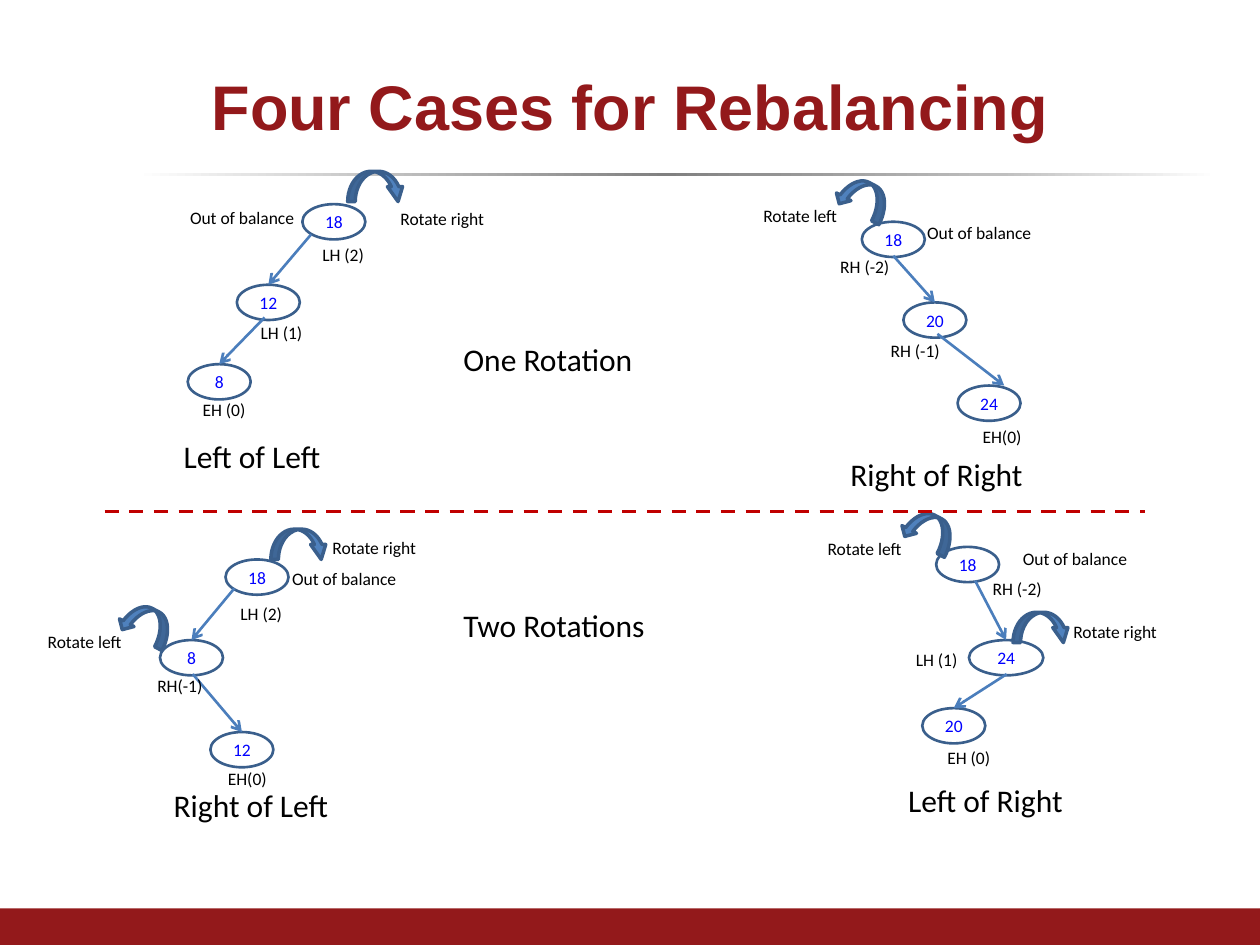
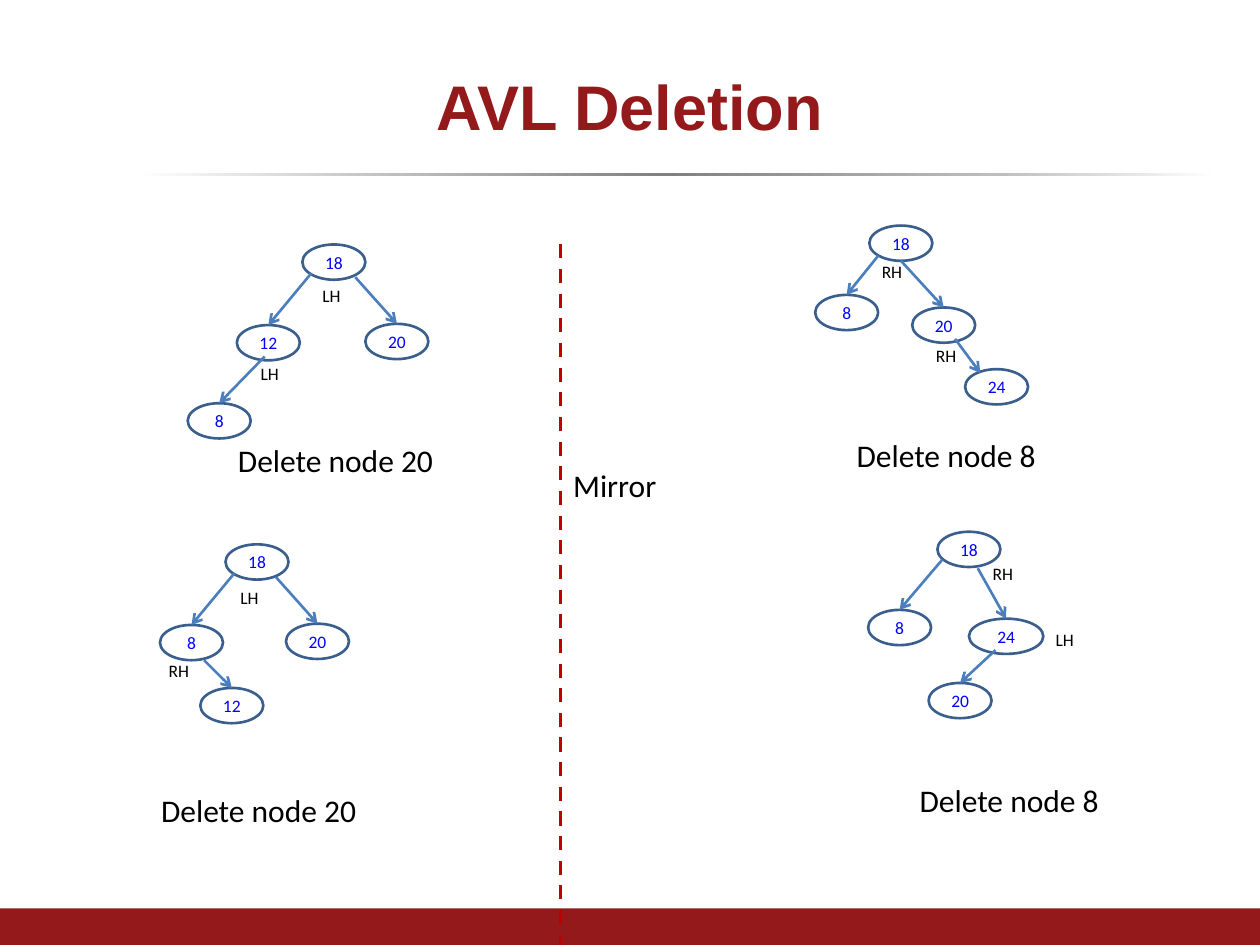
from copy import deepcopy
from dataclasses import dataclass, field

from lxml.etree import SubElement
from pptx import Presentation
from pptx.dml.color import RGBColor
from pptx.enum.dml import MSO_LINE
from pptx.enum.shapes import MSO_CONNECTOR, MSO_SHAPE as SHAPE
from pptx.enum.text import MSO_ANCHOR as ANCHOR, PP_ALIGN as ALIGN
from pptx.oxml.ns import qn
from pptx.util import Inches, Pt

# Shared style
MAROON, BLACK, KEY_BLUE = "93191B", "000000", "0000FF"
OUTLINE, EDGE, TURN_FILL, DIVIDER = "3A5F8C", "4B7EBC", "4F81BD", "C00000"
RULE_STOPS = [(0, "FFFFFF"), (24, "BFBFBF"), (49, "808080"),
              (80, "BFBFBF"), (100, "FFFFFF")]
NODE_WIDTH, NODE_HEIGHT = 0.5, 0.28
NOTE_SIZE, CAPTION_SIZE, TITLE_SIZE = 10, 18, 36
NOTE_HEIGHT, CAPTION_HEIGHT = 0.27, 0.4


# All offsets inside a tree are measured from the top left of its root node.
@dataclass
class Node:
    key: str
    at: tuple
    edge_from: tuple
    width: float = NODE_WIDTH
    edge_to: tuple = None


@dataclass
class Turn:
    side: str
    arrow_at: tuple
    text_at: tuple


@dataclass
class Tree:
    root: tuple
    nodes: list
    balances: list
    caption: tuple
    caption_width: float = 1.72
    turns: list = field(default_factory=list)
    warning_at: tuple = None


REBALANCING = [
    Tree((2.4, 1.62),
         [Node("12", (-0.52, 0.64), (0.07, 0.24)),
          Node("8", (-0.91, 1.27), (-0.3, 0.9))],
         [("LH (2)", 0.06, 0.27), ("LH (1)", -0.43, 0.89), ("EH (0)", -0.89, 1.5)],
         ("Left of Left", -1.04, 1.8),
         turns=[Turn("right", (0.36, -0.26), (0.68, -0.02))],
         warning_at=(-0.99, -0.03)),
    Tree((6.84, 1.76),
         [Node("20", (0.33, 0.64), (0.25, 0.27)),
          Node("24", (0.76, 1.3), (0.6, 0.89), edge_to=(1.13, 1.3))],
         [("RH (-2)", -0.27, 0.22), ("RH (-1)", 0.13, 0.89), ("EH(0)", 0.86, 1.57)],
         ("Right of Right", -0.19, 1.8),
         turns=[Turn("left", (-0.2, -0.32), (-0.88, -0.18))],
         warning_at=(0.42, -0.05)),
    Tree((1.79, 4.44),
         [Node("8", (-0.52, 0.64), (0.07, 0.23)),
          Node("12", (-0.12, 1.37), (-0.26, 0.91))],
         [("LH (2)", 0.02, 0.3), ("RH(-1)", -0.64, 0.87), ("EH(0)", -0.08, 1.61)],
         ("Right of Left", -0.51, 1.75),
         turns=[Turn("right", (0.36, -0.24), (0.75, -0.23)),
                Turn("left", (-0.84, 0.38), (-1.51, 0.52))],
         warning_at=(0.43, 0.02)),
    Tree((7.43, 4.34),
         [Node("24", (0.26, 0.74), (0.31, 0.27), 0.59),
          Node("20", (-0.11, 1.28), (0.56, 1.01))],
         [("RH (-2)", 0.35, 0.2), ("LH (1)", -0.26, 0.76), ("EH (0)", -0.01, 1.54)],
         ("Left of Right", -0.32, 1.81),
         turns=[Turn("left", (-0.27, -0.26), (-0.96, -0.12)),
                Turn("right", (0.61, 0.52), (0.99, 0.54))],
         warning_at=(0.59, -0.04)),
]

DELETION = [
    Tree((2.4, 1.94),
         [Node("12", (-0.52, 0.64), (0.07, 0.23)),
          Node("8", (-0.91, 1.26), (-0.3, 0.89)),
          Node("20", (0.5, 0.63), (0.42, 0.26))],
         [("LH", 0.06, 0.27), ("LH", -0.43, 0.89)],
         ("Delete node 20", -0.61, 1.51), 2.38),
    Tree((6.9, 1.79),
         [Node("20", (0.34, 0.65), (0.25, 0.28)),
          Node("24", (0.76, 1.14), (0.68, 0.9), edge_to=(0.88, 1.17)),
          Node("8", (-0.43, 0.55), (0.07, 0.24))],
         [("RH", 0, 0.23), ("RH", 0.43, 0.9)],
         ("Delete node 8", -0.2, 1.62)),
    Tree((1.79, 4.32),
         [Node("8", (-0.52, 0.64), (0.07, 0.23)),
          Node("12", (-0.2, 1.14), (-0.17, 0.92)),
          Node("20", (0.48, 0.63), (0.4, 0.26))],
         [("LH", 0.02, 0.29), ("RH", -0.55, 0.87)],
         ("Delete node 20", -0.61, 1.91), 2.55),
    Tree((7.44, 4.22),
         [Node("24", (0.25, 0.69), (0.32, 0.29), 0.59),
          Node("20", (-0.07, 1.2), (0.46, 0.94)),
          Node("8", (-0.55, 0.62), (0.04, 0.22))],
         [("RH", 0.34, 0.2), ("LH", 0.84, 0.72)],
         ("Delete node 8", -0.24, 1.93)),
]


def color(value):
    return RGBColor.from_string(value)


def write(shape, text, size, ink, font="Calibri", bold=False, align=ALIGN.LEFT,
          anchor=ANCHOR.TOP):
    frame = shape.text_frame
    frame.word_wrap = True
    frame.vertical_anchor = anchor
    para = frame.paragraphs[0]
    para.alignment = align
    span = para.add_run()
    span.text = text
    span.font.name, span.font.size, span.font.bold = font, Pt(size), bold
    span.font.color.rgb = color(ink)


def add_text(page, text, left, top, width, height, size, ink=BLACK, **style):
    box = page.shapes.add_textbox(*map(Inches, (left, top, width, height)))
    write(box, text, size, ink, **style)


def add_caption(page, text, left, top, width):
    add_text(page, text, left, top, width, CAPTION_HEIGHT, CAPTION_SIZE)


def add_note(page, text, left, top, width):
    add_text(page, text, left, top, width, NOTE_HEIGHT, NOTE_SIZE)


def add_block(page, preset, left, top, width, height, fill=None, line=None, weight=1.5):
    block = page.shapes.add_shape(preset, *map(Inches, (left, top, width, height)))
    block.shadow.inherit = False
    if fill:
        block.fill.solid()
        block.fill.fore_color.rgb = color(fill)
    else:
        block.fill.background()
    if line:
        block.line.color.rgb = color(line)
        block.line.width = Pt(weight)
    else:
        block.line.fill.background()
    return block


def add_line(page, start, end, ink, weight, dashed=False, arrow=False):
    line = page.shapes.add_connector(MSO_CONNECTOR.STRAIGHT,
                                     *map(Inches, (*start, *end)))
    line.line.color.rgb = color(ink)
    line.line.width = Pt(weight)
    if dashed:
        line.line.dash_style = MSO_LINE.DASH
    properties = line._element.spPr
    if arrow:
        SubElement(properties.find(qn("a:ln")), qn("a:tailEnd"), type="arrow")
    SubElement(properties, qn("a:effectLst"))


def add_title_rule(page):
    rule = add_block(page, SHAPE.RECTANGLE, 1.08, 1.37, 8.58, 0.03)
    rule.fill.gradient()
    rule.fill.gradient_angle = 0
    # Extend the gradient to five stops
    stops = rule._element.spPr.find(qn("a:gradFill")).find(qn("a:gsLst"))
    for _ in range(len(RULE_STOPS) - len(stops)):
        stops.append(deepcopy(stops[0]))
    for stop, (place, shade) in zip(rule.fill.gradient_stops, RULE_STOPS):
        stop.position = place / 100
        stop.color.rgb = color(shade)


def add_page(deck, title):
    page = deck.slides.add_slide(deck.slide_layouts[6])
    add_title_rule(page)
    add_block(page, SHAPE.RECTANGLE, 0, 7.21, 10, 0.29, MAROON)
    add_text(page, title, 0.5, 0.3, 9, 1.07, TITLE_SIZE, MAROON, font="Arial",
             bold=True, align=ALIGN.CENTER, anchor=ANCHOR.MIDDLE)
    return page


def draw_node(page, key, left, top, width=NODE_WIDTH):
    node = add_block(page, SHAPE.OVAL, left, top, width, NODE_HEIGHT, line=OUTLINE)
    frame = node.text_frame
    frame.margin_left = frame.margin_right = frame.margin_top = frame.margin_bottom = 0
    write(node, key, NOTE_SIZE, KEY_BLUE, align=ALIGN.CENTER, anchor=ANCHOR.MIDDLE)


def draw_turn(page, side, arrow_at, text_at):
    if side == "right":
        arrow = add_block(page, SHAPE.CURVED_DOWN_ARROW, *arrow_at, 0.46, 0.24,
                          TURN_FILL, OUTLINE, 2)
        arrow.adjustments[2] = 0.493
    else:
        arrow = add_block(page, SHAPE.CURVED_UP_ARROW, *arrow_at, 0.42, 0.26,
                          TURN_FILL, OUTLINE, 2)
        arrow.rotation = 207.9
    add_note(page, f"Rotate {side}", *text_at, 1.55)


def draw_tree(page, tree):
    def place(offset):
        return tree.root[0] + offset[0], tree.root[1] + offset[1]

    # Nodes, each with the edge from its parent
    draw_node(page, "18", *tree.root)
    for node in tree.nodes:
        draw_node(page, node.key, *place(node.at), node.width)
        top_center = (node.at[0] + node.width / 2, node.at[1])
        add_line(page, place(node.edge_from), place(node.edge_to or top_center),
                 EDGE, 1.5, arrow=True)
    # Balance labels and caption
    for text, *offset in tree.balances:
        add_note(page, text, *place(offset), 0.68 if "(" in text else 0.5)
    text, *offset = tree.caption
    add_caption(page, text, *place(offset), tree.caption_width)
    # Rotations
    for turn in tree.turns:
        draw_turn(page, turn.side, place(turn.arrow_at), place(turn.text_at))
    if tree.warning_at:
        add_note(page, "Out of balance", *place(tree.warning_at), 1.55)


def rebalancing_page(deck):
    page = add_page(deck, "Four Cases for Rebalancing")
    for tree in REBALANCING:
        draw_tree(page, tree)
    add_line(page, (0.83, 4.06), (9.09, 4.06), DIVIDER, 2, dashed=True)
    add_caption(page, "One Rotation", 3.58, 2.65, 2.83)
    add_caption(page, "Two Rotations", 3.58, 4.76, 2.83)


def deletion_page(deck):
    page = add_page(deck, "AVL Deletion")
    for tree in DELETION:
        draw_tree(page, tree)
    add_line(page, (4.45, 1.94), (4.45, 7.5), DIVIDER, 2, dashed=True)
    add_caption(page, "Mirror", 4.45, 3.65, 1.02)


def main():
    deck = Presentation()
    deck.slide_width, deck.slide_height = Inches(10), Inches(7.5)
    rebalancing_page(deck)
    deletion_page(deck)
    deck.save("out.pptx")


if __name__ == "__main__":
    main()
